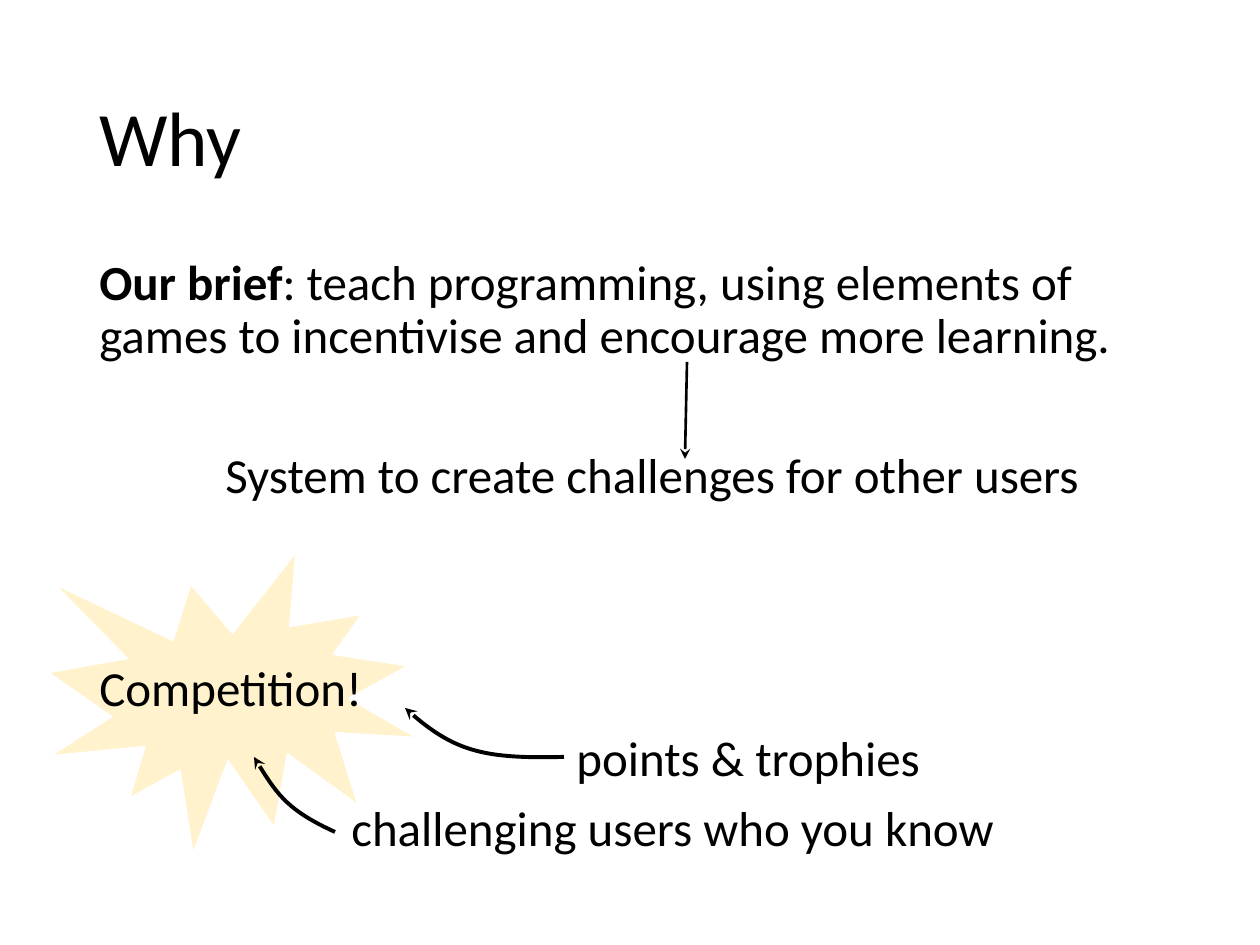
from dataclasses import dataclass

from lxml import etree
from pptx import Presentation
from pptx.dml.color import RGBColor
from pptx.enum.shapes import MSO_CONNECTOR, MSO_SHAPE
from pptx.enum.text import MSO_ANCHOR
from pptx.oxml.ns import qn
from pptx.util import Pt

STRAIGHT = MSO_CONNECTOR.STRAIGHT
BURST = MSO_SHAPE.EXPLOSION1
MIDDLE = MSO_ANCHOR.MIDDLE
TOP = MSO_ANCHOR.TOP
SCALE = 914400 / 126
BLACK, WHITE, CREAM = "000000", "FFFFFF", "FFF2CC"
FONT = "Calibri"


@dataclass
class Span:
    text: str
    bold: bool = False


@dataclass
class Para:
    spans: list[Span]
    indent: int = 0
    before: int = 10


@dataclass
class Curve:
    start: tuple[int, int]
    controls_and_end: list[tuple[int, int]]


BODY = [
    Para([Span("Our brief", True),
          Span(": teach programming, using elements of games to incentivise "
               "and encourage more learning.")], before=0),
    Para([Span("System to create challenges for other users")], 126, 50),
    Para([Span("Competition!")], before=91),
    Para([Span("points & trophies")], 477),
    Para([Span("challenging users who you know")], 252),
]
CURVES = [
    Curve((335, 832), [(289, 811), (275, 792), (254, 757)]),
    Curve((564, 757), [(486, 759), (452, 751), (405, 708)]),
]


def emu(px: int) -> int:
    return round(px * SCALE)


def color(value: str) -> RGBColor:
    return RGBColor.from_string(value)


def assign(target, values: dict) -> None:
    for name, value in values.items():
        setattr(target, name, value)


def add_text(page, bounds: tuple, paras: list[Para], size: int, anchor) -> None:
    box = page.shapes.add_textbox(*map(emu, bounds))
    frame = box.text_frame
    assign(frame, {"word_wrap": True, "vertical_anchor": anchor})
    for index, item in enumerate(paras):
        para = frame.add_paragraph() if index else frame.paragraphs[0]
        assign(para, {"line_spacing": 0.9, "space_before": Pt(item.before)})
        para._p.get_or_add_pPr().set("marL", str(emu(item.indent)))
        for span in item.spans:
            run = para.add_run()
            run.text = span.text
            assign(run.font, {"name": FONT, "size": Pt(size), "bold": span.bold})
            run.font.color.rgb = color(BLACK)


def style_arrow(shape, width: float) -> None:
    shape.line.width = Pt(width)
    shape.line.color.rgb = color(BLACK)
    line = shape.line._get_or_add_ln()
    etree.SubElement(line, qn("a:tailEnd"), type="stealth")


def add_curve(page, curve: Curve) -> None:
    builder = page.shapes.build_freeform(*curve.start, scale=SCALE)
    builder.add_line_segments(curve.controls_and_end, close=False)
    shape = builder.convert_to_shape()
    shape.shadow.inherit = False
    shape.fill.background()
    segments = list(shape._element.iter(qn("a:lnTo")))
    outline = segments[0].getparent()
    bezier = etree.SubElement(outline, qn("a:cubicBezTo"))
    for segment in segments:
        bezier.append(segment[0])
        outline.remove(segment)
    style_arrow(shape, 2.25)


def add_burst(page, bounds: tuple) -> None:
    burst = page.shapes.add_shape(BURST, *map(emu, bounds))
    burst.shadow.inherit = False
    burst.fill.solid()
    burst.fill.fore_color.rgb = color(CREAM)
    burst.line.color.rgb = color(WHITE)
    burst.line.width = Pt(1)


def add_arrow(page, ends: tuple) -> None:
    arrow = page.shapes.add_connector(STRAIGHT, *map(emu, ends))
    style_arrow(arrow, 1.5)
    etree.SubElement(arrow._element.spPr, qn("a:effectLst"))


def main() -> None:
    deck = Presentation()
    assign(deck, {"slide_width": emu(1260), "slide_height": emu(945)})
    page = deck.slides.add_slide(deck.slide_layouts[6])
    add_burst(page, (48, 552, 369, 302))
    add_text(page, (87, 50, 1086, 183), [Para([Span("Why")], before=0)], 44, MIDDLE)
    add_text(page, (87, 252, 1086, 672), BODY, 28, TOP)
    for curve in CURVES:
        add_curve(page, curve)
    add_arrow(page, (687, 362, 685, 459))
    deck.save("out.pptx")


if __name__ == "__main__":
    main()
